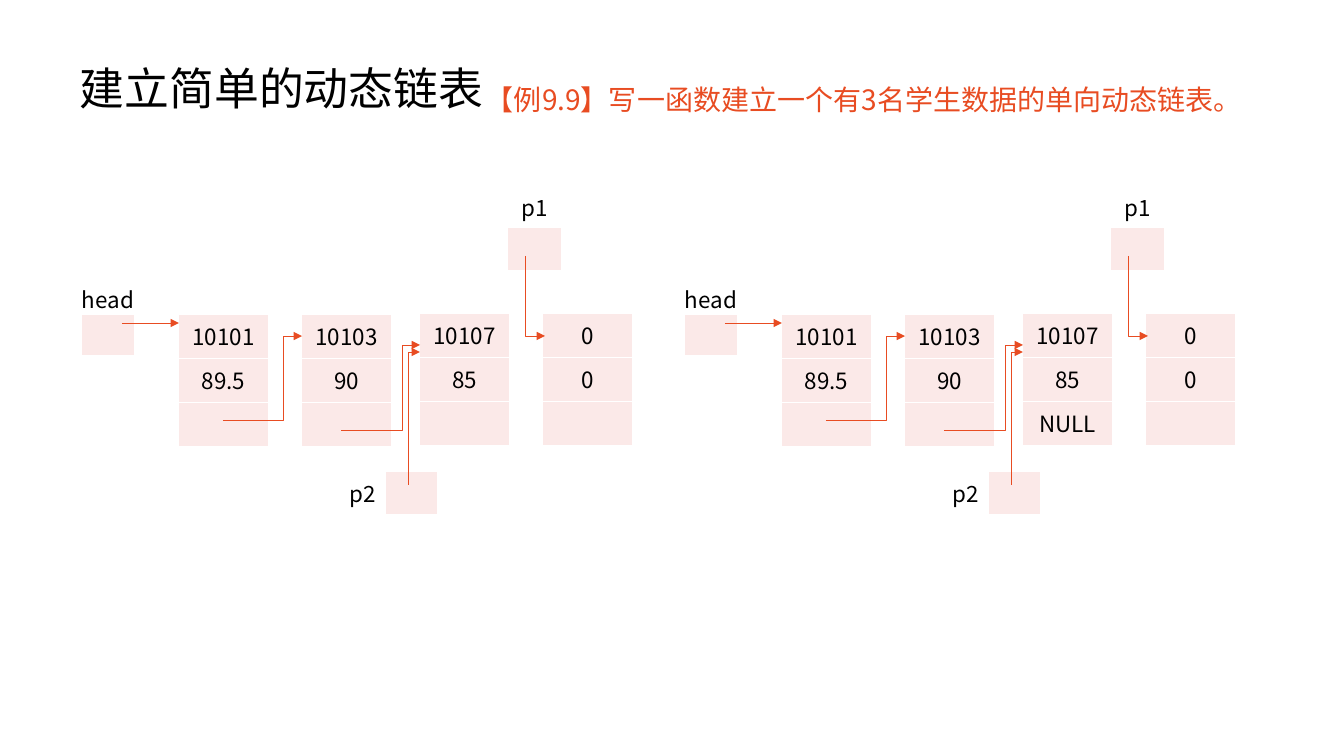
"""Build the slide on creating a simple dynamic linked list."""
from lxml.etree import SubElement
from pptx import Presentation
from pptx.dml.color import RGBColor
from pptx.enum.text import MSO_ANCHOR, PP_ALIGN
from pptx.oxml import parse_xml
from pptx.oxml.ns import nsdecls, qn
from pptx.util import Pt

UNIT = 914400 / 100.8
FONT = "Noto Sans CJK SC"
INK, RED, PINK, WHITE = "000000", "E84C22", "FBE9E8", "FFFFFF"
TITLE = "建立简单的动态链表"
TASK = "【例9.9】写一函数建立一个有3名学生数据的单向动态链表。"
LISTS = [(0, ""), (603, "NULL")]
NODES = [
    (179, 315, ["10101", "89.5", ""]),
    (302, 315, ["10103", "90", ""]),
    (420, 314, ["10107", "85", None]),
    (543, 314, ["0", "0", ""]),
]
NODE_W, NODE_H = 89, 131
LINKS = [
    [(223, 420), (283, 420), (283, 336), (302, 336)],
    [(408, 485), (408, 352), (420, 352)],
    [(341, 430), (402, 430), (402, 345), (420, 345)],
    [(525, 256), (525, 336), (545, 336)],
]
HEAD = [(122, 323), (179, 323)]


def px(num):
    return round(num * UNIT)


def color(code):
    return RGBColor.from_string(code)


def write(frame, text, size=16, ink=INK, align=PP_ALIGN.LEFT, line=None, before=None, hang=0):
    frame.word_wrap = True
    para = frame.paragraphs[0]
    para.alignment = align
    if line:
        para.line_spacing = line
    if before:
        para.space_before = Pt(before)
    if hang:
        props = para._p.get_or_add_pPr()
        props.set("marL", str(px(hang)))
        props.set("indent", str(-px(hang)))
    if not text:
        SubElement(para._p, qn("a:endParaRPr"), sz=str(size * 100))
        return
    run = para.add_run()
    run.text = text
    run.font.size, run.font.name = Pt(size), FONT
    run.font.color.rgb = color(ink)
    SubElement(run._r.get_or_add_rPr(), qn("a:ea"), typeface=FONT)


def label(box, text, anchor, **look):
    frame = slide.shapes.add_textbox(*map(px, box)).text_frame
    frame.vertical_anchor = anchor
    write(frame, text, **look)


def paint(cell, inner=""):
    cell.fill.solid()
    cell.fill.fore_color.rgb = color(PINK)
    props = cell._tc.get_or_add_tcPr()
    solid = f'<a:solidFill><a:srgbClr val="{WHITE}"/></a:solidFill>'
    for spot, side in enumerate("LRTB"):
        fill = solid if side in inner else "<a:noFill/>"
        props.insert(spot, parse_xml(
            f'<a:ln{side} w="12700" {nsdecls("a")}>{fill}</a:ln{side}>'))


def grid(left, top, cols, rows):
    table = slide.shapes.add_table(
        len(rows), len(cols), px(left), px(top), px(sum(cols)), px(sum(rows))).table
    table.first_row = table.horz_banding = False
    for col, width in zip(table.columns, cols):
        col.width = px(width)
    for row, height in zip(table.rows, rows):
        row.height = px(height)
    return table


def node(left, top, texts):
    table = grid(left, top, [NODE_W], [NODE_H / len(texts)] * len(texts))
    for cell, text, inner in zip(table.iter_cells(), texts, ["B", "TB", "T"]):
        write(cell.text_frame, text, align=PP_ALIGN.CENTER)
        paint(cell, inner)


def holder(text, left, top, cols, rows, align=PP_ALIGN.CENTER, anchor=MSO_ANCHOR.BOTTOM, tight=False):
    name, slot, *spare = grid(left, top, cols, rows).iter_cells()
    name.vertical_anchor = anchor
    if tight:
        name.margin_left = name.margin_right = name.margin_top = name.margin_bottom = 0
    write(name.text_frame, text, align=align)
    write(slot.text_frame, "")
    paint(slot)
    for cell in [name, *spare]:
        cell.fill.background()


def tip(shape):
    shape.line.color.rgb = color(RED)
    shape.line.width = Pt(0.5)
    SubElement(shape.line._get_or_add_ln(), qn("a:tailEnd"), type="triangle")


def link(points, shift):
    first, *rest = [(x + shift, y) for x, y in points]
    pen = slide.shapes.build_freeform(*first, scale=UNIT)
    pen.add_line_segments(rest, close=False)
    shape = pen.convert_to_shape()
    shape.fill.background()
    shape.shadow.inherit = False
    tip(shape)


def arrow(points, shift):
    ends = [px(num) for x, y in points for num in (x + shift, y)]
    line = slide.shapes.add_connector(1, *ends)
    tip(line)
    SubElement(line._element.spPr, qn("a:effectLst"))


deck = Presentation()
deck.slide_width, deck.slide_height = px(1344), px(756)
slide = deck.slides.add_slide(deck.slide_layouts[6])
label((70, 38, 1159, 105), TITLE, MSO_ANCHOR.MIDDLE, size=32, line=0.9)
label((476, 71, 785, 60), TASK, MSO_ANCHOR.TOP, size=20, ink=RED, line=1.2, before=10, hang=10)
for shift, end in LISTS:
    for left, top, texts in NODES:
        node(left + shift, top, [end if text is None else text for text in texts])
    holder("head", 82 + shift, 274, [52], [41, 41, 8, 41, 8, 41], tight=True)
    holder("p1", 508 + shift, 186, [53], [42, 42])
    holder("p2", 331 + shift, 472, [55, 51], [42], align=PP_ALIGN.RIGHT, anchor=MSO_ANCHOR.TOP)
    arrow(HEAD, shift)
    for points in LINKS:
        link(points, shift)
deck.save("out.pptx")
